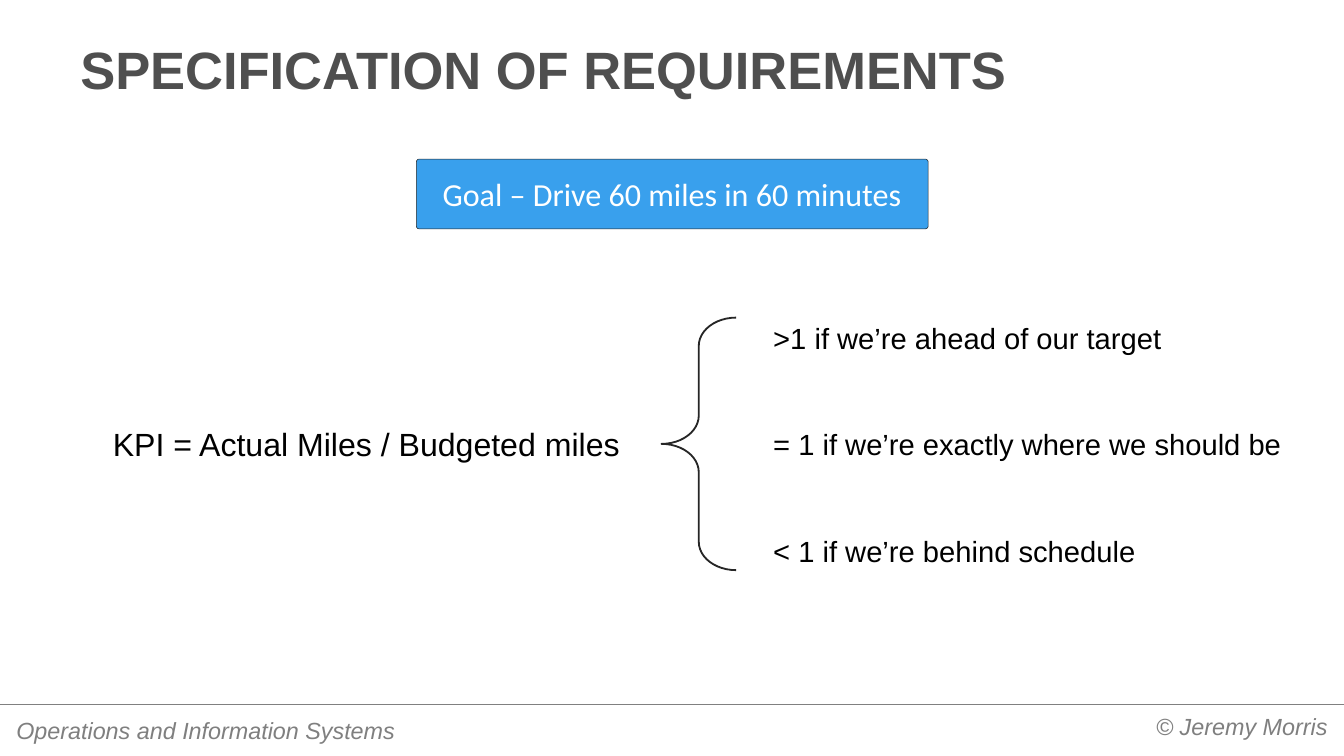
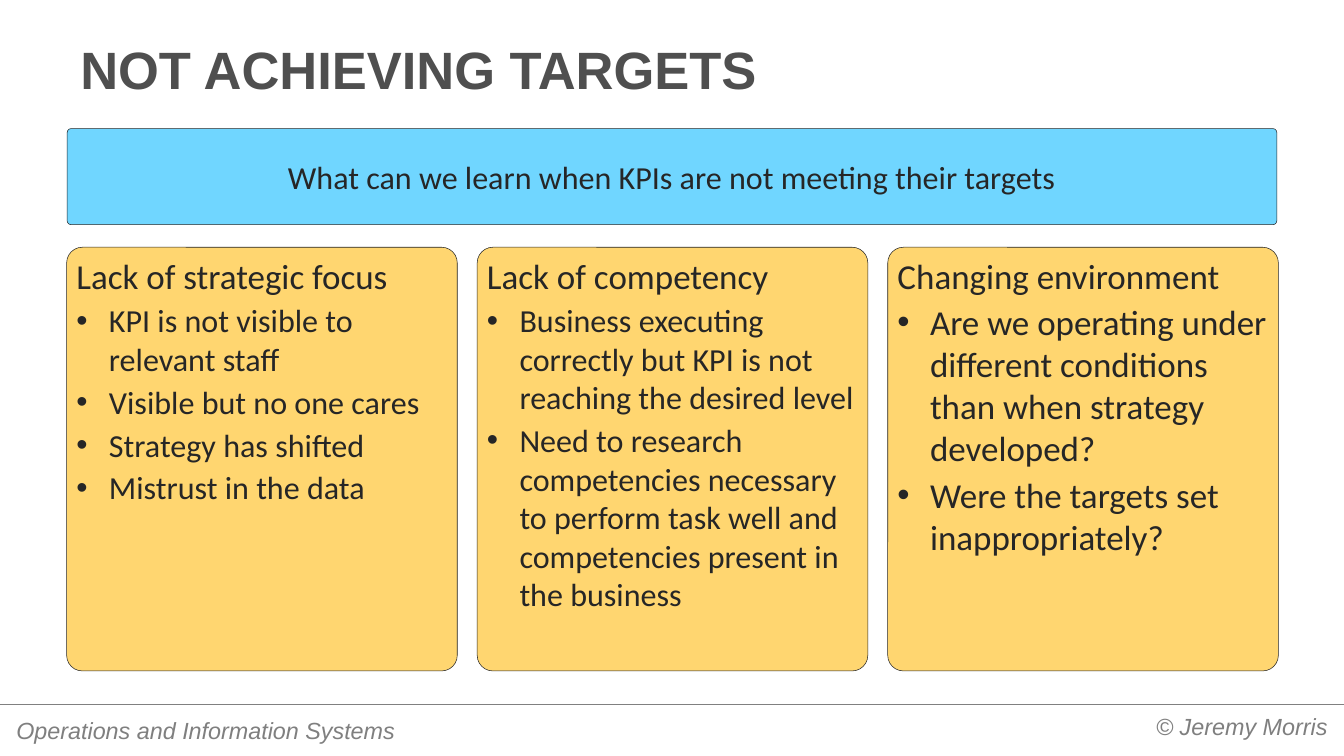
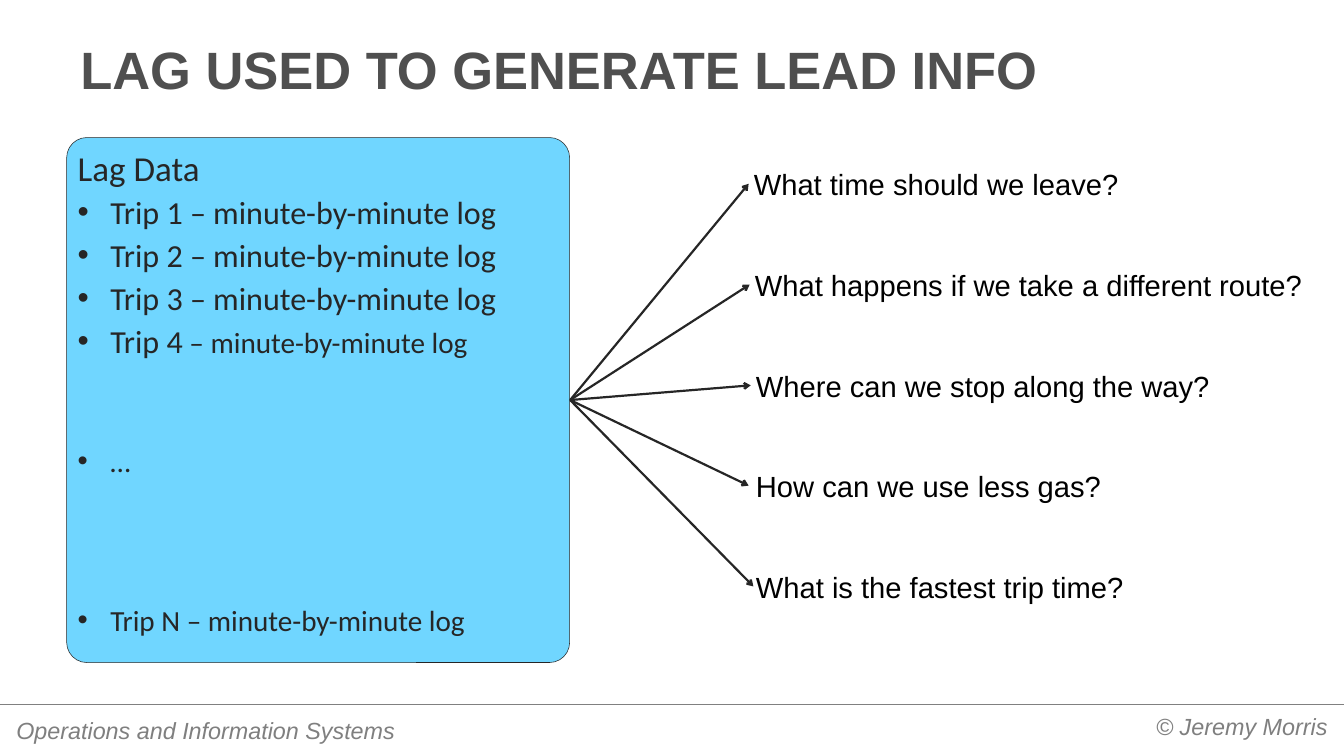
from dataclasses import dataclass
from typing import Optional

from lxml.etree import SubElement
from pptx import Presentation
from pptx.dml.color import RGBColor
from pptx.enum.shapes import MSO_CONNECTOR as Connector, MSO_SHAPE as Preset
from pptx.enum.text import MSO_ANCHOR as Anchor, PP_ALIGN as Align
from pptx.oxml.ns import qn
from pptx.shapes.autoshape import Shape
from pptx.slide import Slide
from pptx.text.text import TextFrame
from pptx.util import Inches, Pt

# Shared look
COLORS = {
    "title": "4F4F4F", "footer": "7F7F7F", "rule": "808080", "ink": "262626",
    "black": "000000", "white": "FFFFFF",
    "blue": "39A0ED", "sky": "70D6FF", "yellow": "FFD670",
}
WIDTH, HEIGHT = 25.6, 14.4
HEADING_SIZE, BULLET_SIZE, BODY_SIZE = 48, 44, 40
INDENT = 0.62


@dataclass
class Style:
    size: float
    color: str
    font: str = "Arial"
    bold: bool = False
    italic: bool = False
    align: Align = Align.LEFT
    anchor: Anchor = Anchor.TOP
    inset: tuple[float, float] = (0.1, 0.05)


@dataclass
class Box:
    left: float
    top: float
    width: float
    height: float


@dataclass
class Item:
    text: str
    size: float = BULLET_SIZE
    before: float = 0
    tail: str = ""  # smaller continuation on the same line


@dataclass
class Card:
    heading: str
    items: list[Item]


@dataclass
class Question:
    text: str
    left: float
    arrow_x: float
    arrow_y: float


TITLE = Style(72, "title", bold=True, anchor=Anchor.BOTTOM, inset=(0.25, 0.12))
FOOTER = Style(32, "footer", italic=True, inset=(0.18, 0.09))
FOOTER_RIGHT = Style(32, "footer", italic=True, align=Align.RIGHT, inset=(0.18, 0.09))
BODY = Style(BODY_SIZE, "black")
FORMULA = Style(44, "black")
GOAL = Style(44, "white", "Calibri", align=Align.CENTER, anchor=Anchor.MIDDLE)
BANNER = Style(44, "ink", "Calibri", align=Align.CENTER, anchor=Anchor.MIDDLE)
CARD = Style(HEADING_SIZE, "ink", "Calibri")


def rgb(name: str) -> RGBColor:
    return RGBColor.from_string(COLORS[name])


# Drawing helpers
def write(text_frame: TextFrame, text: str, style: Style) -> None:
    text_frame.text = text
    text_frame.word_wrap = True
    text_frame.vertical_anchor = style.anchor
    text_frame.margin_left = text_frame.margin_right = Inches(style.inset[0])
    text_frame.margin_top = text_frame.margin_bottom = Inches(style.inset[1])
    for paragraph in text_frame.paragraphs:
        paragraph.alignment = style.align
        for run in paragraph.runs:
            run.font.name = style.font
            run.font.size = Pt(style.size)
            run.font.bold = style.bold
            run.font.italic = style.italic
            run.font.color.rgb = rgb(style.color)


def add_text(slide: Slide, box: Box, text: str, style: Style) -> TextFrame:
    shape = slide.shapes.add_textbox(
        Inches(box.left), Inches(box.top), Inches(box.width), Inches(box.height))
    write(shape.text_frame, text, style)
    return shape.text_frame


def add_preset(slide: Slide, preset: Preset, box: Box, adjustments: list[float],
               fill: Optional[str] = None, line_width: float = 0.75) -> Shape:
    shape = slide.shapes.add_shape(
        preset, Inches(box.left), Inches(box.top), Inches(box.width), Inches(box.height))
    shape.shadow.inherit = False
    for index, value in enumerate(adjustments):
        shape.adjustments[index] = value
    if fill:
        shape.fill.solid()
        shape.fill.fore_color.rgb = rgb(fill)
    else:
        shape.fill.background()
    shape.line.color.rgb = rgb("ink")
    shape.line.width = Pt(line_width)
    return shape


def add_panel(slide: Slide, box: Box, fill: str, text: str, style: Style) -> TextFrame:
    shape = add_preset(slide, Preset.ROUNDED_RECTANGLE, box, [0.04], fill)
    write(shape.text_frame, text, style)
    return shape.text_frame


def add_card(slide: Slide, box: Box, fill: str, card: Card) -> None:
    lines = [card.heading] + [item.text for item in card.items]
    text_frame = add_panel(slide, box, fill, "\n".join(lines), CARD)
    heading, *bullets = text_frame.paragraphs
    heading.space_after = Pt(6)
    for paragraph, item in zip(bullets, card.items):
        properties = paragraph._p.get_or_add_pPr()
        properties.set("marL", str(Inches(INDENT)))
        properties.set("indent", str(-Inches(INDENT)))
        SubElement(properties, qn("a:buFont")).set("typeface", "Arial")
        SubElement(properties, qn("a:buChar")).set("char", "•")
        paragraph.space_before = Pt(item.before)
        paragraph.space_after = Pt(6)
        paragraph.runs[0].font.size = Pt(item.size)
        if item.tail:
            run = paragraph.add_run()
            run.text = item.tail
            run.font.name = CARD.font
            run.font.size = Pt(BODY_SIZE)
            run.font.color.rgb = rgb(CARD.color)


def add_line(slide: Slide, start: tuple[float, float], end: tuple[float, float],
             color: str, width: float, arrow: bool = False) -> None:
    connector = slide.shapes.add_connector(
        Connector.STRAIGHT, *(Inches(value) for value in start + end))
    connector.line.color.rgb = rgb(color)
    connector.line.width = Pt(width)
    if arrow:
        SubElement(connector.line._get_or_add_ln(), qn("a:tailEnd")).set("type", "arrow")
    SubElement(connector._element.spPr, qn("a:effectLst"))


def add_base_slide(presentation: Presentation, title: str) -> Slide:
    slide = presentation.slides.add_slide(presentation.slide_layouts[6])
    add_line(slide, (0, 13.41), (WIDTH, 13.41), "rule", 0.75)
    add_text(slide, Box(14.58, 13.48, 10.89, 0.72), "© Jeremy Morris", FOOTER_RIGHT)
    add_text(slide, Box(0.13, 13.56, 8.75, 0.72), "Operations and Information Systems", FOOTER)
    add_text(slide, Box(1.28, 0.53, 23.04, 1.49), title, TITLE)
    return slide


# Slide 1: goal and KPI formula
def build_requirements(presentation: Presentation) -> None:
    slide = add_base_slide(presentation, "SPECIFICATION OF REQUIREMENTS")
    add_panel(slide, Box(7.93, 3.03, 9.75, 1.33), "blue",
              "Goal – Drive 60 miles in 60 minutes", GOAL)
    add_text(slide, Box(2.05, 8.03, 10.58, 0.84),
             "KPI = Actual Miles / Budgeted miles", FORMULA)
    add_preset(slide, Preset.LEFT_BRACE, Box(12.6, 6.05, 1.42, 4.81), [0.38, 0.5],
               line_width=2.5)
    outcomes = [
        ">1 if we’re ahead of our target",
        "= 1 if we’re exactly where we should be",
        "< 1 if we’re behind schedule",
    ]
    text_frame = add_text(slide, Box(14.63, 6.05, 10.42, 4.81), "\n".join(outcomes), BODY)
    for paragraph in text_frame.paragraphs[1:]:
        paragraph.space_before = Pt(98)


# Slide 2: three reasons
def build_targets(presentation: Presentation) -> None:
    slide = add_base_slide(presentation, "NOT ACHIEVING TARGETS")
    add_panel(slide, Box(1.28, 2.45, 23.04, 1.83), "sky",
              "What can we learn when KPIs are not meeting their targets", BANNER)
    cards = [
        Card("Lack of strategic focus", [
            Item("KPI is not visible to relevant staff"),
            Item("Visible but no one cares"),
            Item("Strategy has shifted"),
            Item("Mistrust in the data"),
        ]),
        Card("Lack of competency", [
            Item("Business executing correctly but KPI is not reaching the desired level"),
            Item("Need to research competencies necessary to perform task well "
                 "and competencies present in the business"),
        ]),
        Card("Changing environment", [
            Item("Are we operating under different conditions than when strategy developed?",
                 HEADING_SIZE),
            Item("Were the targets set inappropriately?", HEADING_SIZE),
        ]),
    ]
    for column, card in enumerate(cards):
        add_card(slide, Box(1.27 + 7.82 * column, 4.71, 7.44, 8.07), "yellow", card)


# Slide 3: log data leading to questions
def build_lead_info(presentation: Presentation) -> None:
    slide = add_base_slide(presentation, "LAG USED TO GENERATE LEAD INFO")
    log = " – minute-by-minute log"
    trips = [Item(f"Trip {number}{log}") for number in range(1, 4)]
    add_card(slide, Box(1.27, 2.62, 9.58, 10), "sky", Card("Lag Data", trips + [
        Item("Trip 4", tail=log),
        Item("…", BODY_SIZE, before=109),
        Item(f"Trip N{log}", BODY_SIZE, before=164),
    ]))
    questions = [
        Question("What time should we leave?", 14.26, 14.26, 3.5),
        Question("What happens if we take a different route?", 14.28, 14.28, 5.42),
        Question("Where can we stop along the way?", 14.3, 14.3, 7.34),
        Question("How can we use less gas?", 14.3, 14.26, 9.25),
        Question("What is the fastest trip time?", 14.3, 14.35, 11.17),
    ]
    for question in questions:
        add_text(slide, Box(question.left, question.arrow_y - 0.38, 10.98, 0.77),
                 question.text, BODY)
        add_line(slide, (10.86, 7.62), (question.arrow_x, question.arrow_y),
                 "ink", 3, arrow=True)


def main() -> None:
    presentation = Presentation()
    presentation.slide_width = Inches(WIDTH)
    presentation.slide_height = Inches(HEIGHT)
    build_requirements(presentation)
    build_targets(presentation)
    build_lead_info(presentation)
    presentation.save("out.pptx")


if __name__ == "__main__":
    main()
